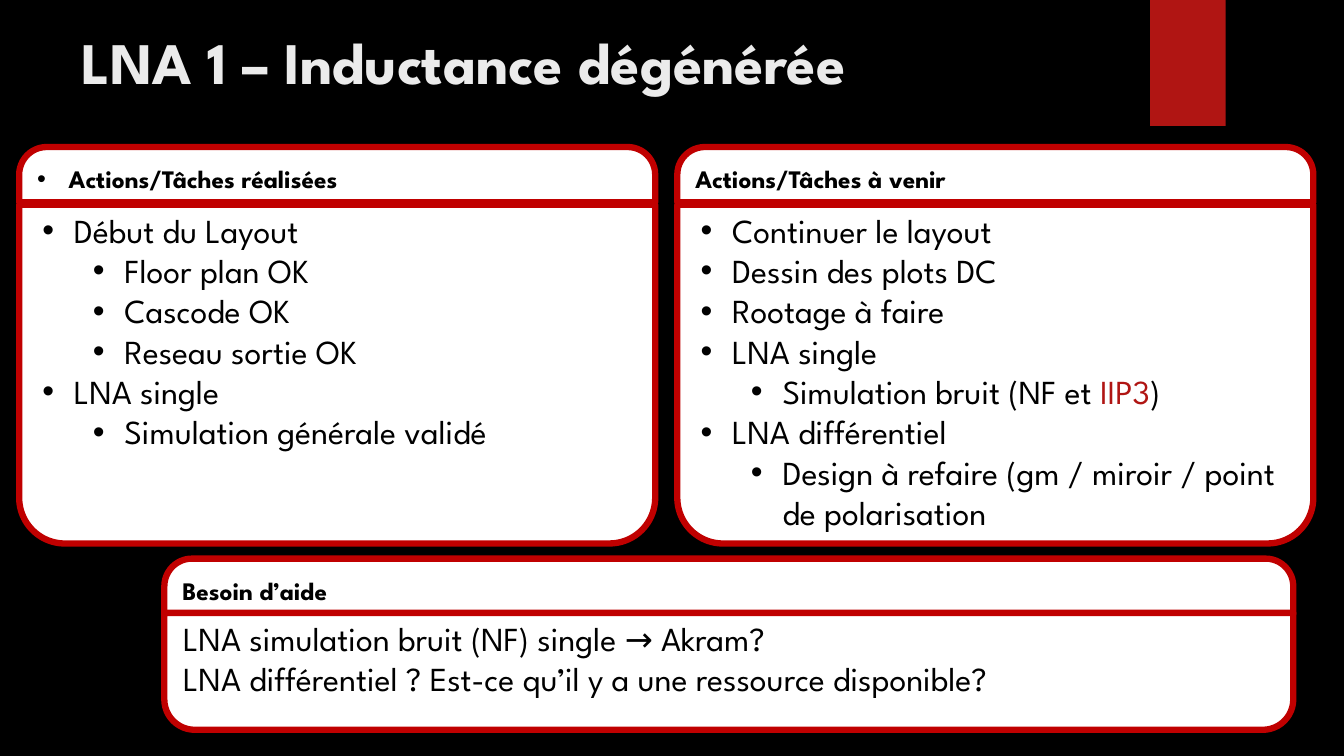
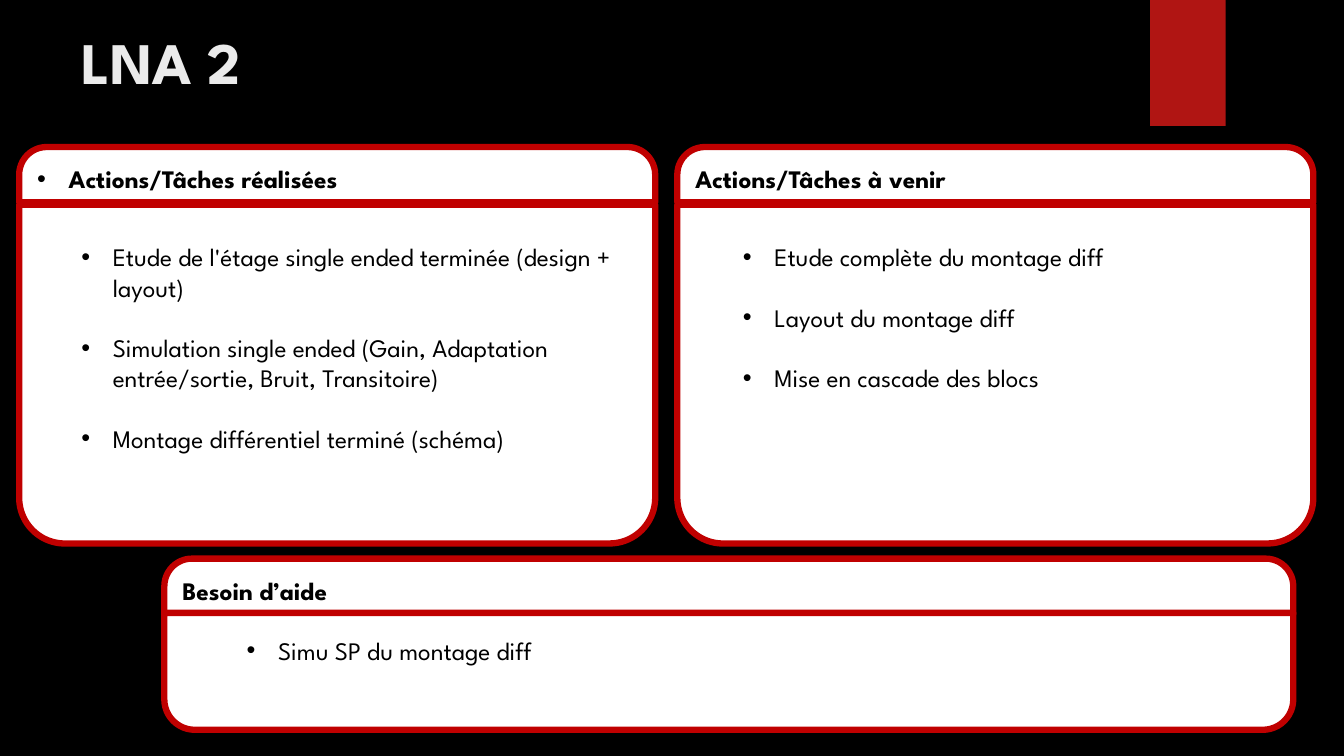
from pptx import Presentation
from pptx.dml.color import RGBColor
from pptx.enum.shapes import MSO_SHAPE
from pptx.enum.text import MSO_ANCHOR, MSO_AUTO_SIZE, PP_ALIGN
from pptx.oxml.ns import qn
from pptx.util import Pt
from lxml import etree

CARD_HALF, RECTANGLE = MSO_SHAPE.ROUND_2_SAME_RECTANGLE, MSO_SHAPE.RECTANGLE
TOP, MIDDLE = MSO_ANCHOR.TOP, MSO_ANCHOR.MIDDLE
LEFT, NO_FIT = PP_ALIGN.LEFT, MSO_AUTO_SIZE.NONE

# Shared style
BLACK, WHITE, BORDER, ACCENT, TITLE_COLOUR = "000000", "FFFFFF", "C00000", "B01513", "EBEBEB"
FONT = "League Spartan"
TITLE_FONT = {"name": FONT, "size": Pt(42), "bold": True}
HEADER_FONT = {"name": FONT, "size": Pt(18), "bold": True}
TASK_FONT = {"name": FONT, "size": Pt(24), "bold": False}
NOTE_FONT = {"name": FONT, "size": Pt(18), "bold": False}
TITLE_BOX = (51, 15, 741, 110)
TAG_BOX = (821.5, 0, 54, 90)
HEADER_HEIGHT, BORDER_WIDTH = 39.5, 4.5
BULLET_INDENT, LEVEL_STEP, NOTE_GAP = 22.5, 36, 21.6
PLAIN = None  # level of a paragraph without bullet

# Cards: header, header level, left, top, width, body top, body height, corner
CARDS = {
    "done": ("Actions/Tâches réalisées", 0, 13.7, 105, 454.3, 146.2, 242, 0.135),
    "next": ("Actions/Tâches à venir", PLAIN, 483.8, 105, 454.3, 146.2, 242, 0.135),
    "help": ("Besoin d’aide", PLAIN, 117.4, 399, 806.4, 437.8, 83.5, 0.261),
}
NOTE_BOXES = {
    "done": (51, 169, 401, 181.5),
    "next": (523.5, 169, 375, 160),
    "help": (169, 450, 602, 29),
}

# Content: (level, text) tasks inside the cards, notes laid over them;
# text between bars is highlighted
SLIDES = [
    {
        "title": "LNA 1 – Inductance dégénérée",
        "tasks": {
            "done": [
                (0, "Début du Layout"),
                (1, "Floor plan OK"),
                (1, "Cascode OK"),
                (1, "Reseau sortie OK"),
                (0, "LNA single"),
                (1, "Simulation générale validé"),
            ],
            "next": [
                (0, "Continuer le layout"),
                (0, "Dessin des plots DC"),
                (0, "Rootage à faire"),
                (0, "LNA single"),
                (1, "Simulation bruit (NF et |IIP3|)"),
                (0, "LNA différentiel"),
                (1, "Design à refaire (gm / miroir / point de polarisation"),
            ],
            "help": [
                (PLAIN, "LNA simulation bruit (NF) single → Akram?"),
                (PLAIN, "LNA différentiel ? Est-ce qu’il y a une ressource disponible?"),
            ],
        },
        "notes": {},
    },
    {
        "title": "LNA 2",
        "tasks": {},
        "notes": {
            "done": [
                (0, "Etude de l'étage single ended terminée (design + layout)"),
                (0, "Simulation single ended (Gain, Adaptation entrée/sortie, Bruit, Transitoire)"),
                (0, "Montage différentiel terminé (schéma)"),
            ],
            "next": [
                (0, "Etude complète du montage diff"),
                (0, "Layout du montage diff"),
                (0, "Mise en cascade des blocs"),
            ],
            "help": [(0, "Simu SP du montage diff")],
        },
    },
]


def rgb(colour):
    return RGBColor.from_string(colour)


def points(box):
    return [Pt(length) for length in box]


def set_all(target, values):
    for name, value in values.items():
        setattr(target, name, value)


def add_bullet(paragraph, level):
    paragraph.level = level
    properties = paragraph._p.get_or_add_pPr()
    properties.set("marL", str(Pt(BULLET_INDENT + level * LEVEL_STEP)))
    properties.set("indent", str(-Pt(BULLET_INDENT)))
    etree.SubElement(properties, qn("a:buFont")).set("typeface", "Arial")
    etree.SubElement(properties, qn("a:buChar")).set("char", "•")


def write(frame, items, font, colour=BLACK, anchor=TOP, gap=0):
    set_all(frame, {"word_wrap": True, "auto_size": NO_FIT, "vertical_anchor": anchor})
    for index, (level, text) in enumerate(items):
        paragraph = frame.add_paragraph() if index else frame.paragraphs[0]
        if level is not PLAIN:
            add_bullet(paragraph, level)
        paragraph.alignment = LEFT
        paragraph.space_before = Pt(gap if index else 0)
        for part, words in enumerate(text.split("|")):
            run = paragraph.add_run()
            run.text = words
            set_all(run.font, font)
            run.font.color.rgb = rgb(ACCENT if part % 2 else colour)


def add_block(slide, preset, box, fill, border=None):
    block = slide.shapes.add_shape(preset, *points(box))
    block.shadow.inherit = False
    block.fill.solid()
    block.fill.fore_color.rgb = rgb(fill)
    if border:
        block.line.color.rgb = rgb(border)
        block.line.width = Pt(BORDER_WIDTH)
    else:
        block.line.fill.background()
    return block


def add_card(slide, card, tasks):
    header, level, left, top, width, body_top, body_height, corner = card
    halves = []
    for box, corners in (
        ((left, top, width, HEADER_HEIGHT), (0.5, 0)),
        ((left, body_top, width, body_height), (0, corner)),
    ):
        half = add_block(slide, CARD_HALF, box, WHITE, BORDER)
        half.adjustments[0], half.adjustments[1] = corners
        halves.append(half.text_frame)
    write(halves[0], [(level, header)], HEADER_FONT, anchor=MIDDLE)
    write(halves[1], tasks, TASK_FONT)


def add_slide(deck, content):
    slide = deck.slides.add_slide(deck.slide_layouts[5])
    add_block(slide, RECTANGLE, TAG_BOX, ACCENT)

    # Title
    title = slide.shapes.title
    set_all(title, dict(zip(("left", "top", "width", "height"), points(TITLE_BOX))))
    write(title.text_frame, [(PLAIN, content["title"])], TITLE_FONT, TITLE_COLOUR)

    # Cards, then notes over them
    for key, card in CARDS.items():
        add_card(slide, card, content["tasks"].get(key, []))
    for key, notes in content["notes"].items():
        note_box = slide.shapes.add_textbox(*points(NOTE_BOXES[key]))
        write(note_box.text_frame, notes, NOTE_FONT, gap=NOTE_GAP)


def main():
    deck = Presentation()
    deck.slide_width, deck.slide_height = Pt(960), Pt(540)
    backdrop = deck.slide_master.background.fill
    backdrop.solid()
    backdrop.fore_color.rgb = rgb(BLACK)
    for content in SLIDES:
        add_slide(deck, content)
    deck.save("out.pptx")


if __name__ == "__main__":
    main()
